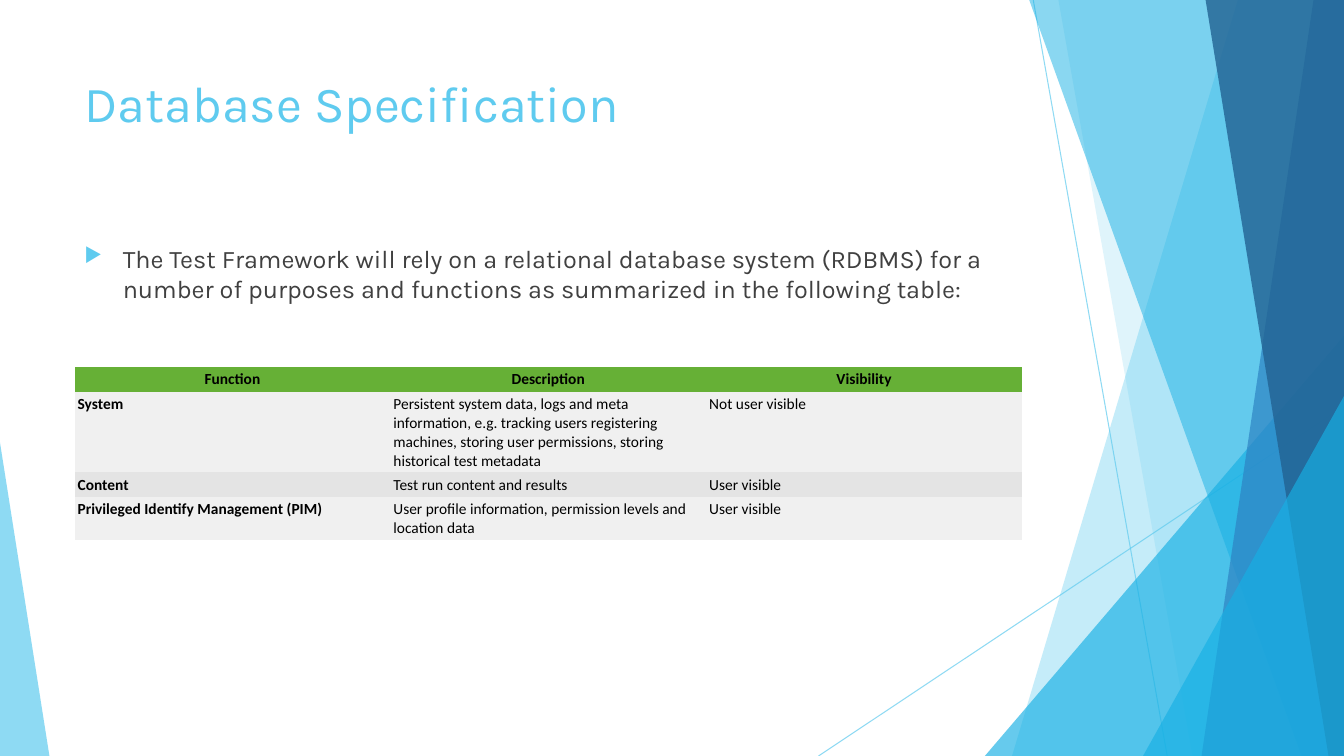
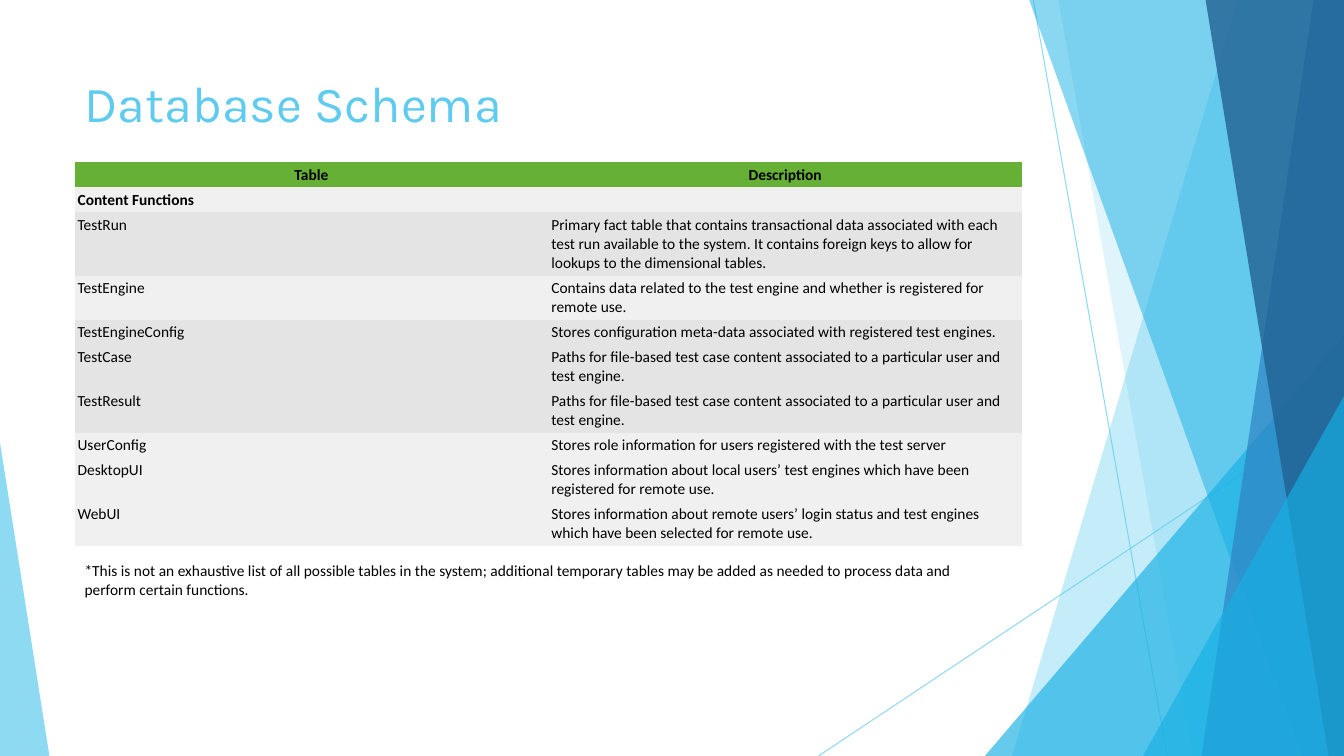
import dataclasses
import math

import lxml.etree
import pptx
import pptx.dml.color
import pptx.enum.shapes
import pptx.enum.text
import pptx.oxml.ns
import pptx.util

qn = pptx.oxml.ns.qn
Inches = pptx.util.Inches
Pt = pptx.util.Pt
MSO = pptx.enum.shapes.MSO_SHAPE
ALIGN = pptx.enum.text.PP_ALIGN


@dataclasses.dataclass(frozen=True)
class Theme:
    sky: str = "5FCBEF"
    cyan: str = "17B0E4"
    blue: str = "2E83C3"
    navy: str = "226292"
    green: str = "66B036"
    light: str = "F0F0F0"
    dark: str = "E4E4E4"
    grey: str = "404040"
    black: str = "000000"
    head: str = "Karla"
    text: str = "Calibri"
    big: int = 36
    mid: int = 18
    small: int = 11


T = Theme()
WIDE = Inches(13.33)
HIGH = Inches(7.5)
LEFT, SPAN = 5.55, 70.5
PAD = Inches(0.03)
PLAIN = "{2D5ABB26-0587-4C30-8999-92F81FD0307C}"

LINES = [(76.88, 0, 86.85, 100), (100, 53.73, 60.9, 100)]
PANES = [
    ("band", 92.1, 75.3, T.sky, 36),
    ("band", 78.75, 88.73, T.sky, 20),
    ("peak", 73.28, 44.4, T.cyan, 66),
    ("band", 76.58, 96.83, T.cyan, 50),
    ("band", 97.73, 89.4, T.blue, 70),
    ("band", 89.7, 98.85, T.navy, 80),
    ("peak", 85.05, 52.4, T.cyan, 66),
]

USES = [
    ("Function", "Description", "Visibility"),
    ("System", "Persistent system data, logs and meta information, e.g. tracking users "
     "registering machines, storing user permissions, storing historical test metadata",
     "Not user visible"),
    ("Content", "Test run content and results", "User visible"),
    ("Privileged Identify Management (PIM)",
     "User profile information, permission levels and location data", "User visible"),
]
PATHS = ("Paths for file-based test case content associated to a particular user "
         "and test engine.")
SCHEMA = [
    ("Table", "Description"),
    ("Content Functions", ""),
    ("TestRun", "Primary fact table that contains transactional data associated with each "
     "test run available to the system. It contains foreign keys to allow for lookups "
     "to the dimensional tables."),
    ("TestEngine", "Contains data related to the test engine and whether is registered "
     "for remote use."),
    ("TestEngineConfig", "Stores configuration meta-data associated with registered test "
     "engines."),
    ("TestCase", PATHS),
    ("TestResult", PATHS),
    ("UserConfig", "Stores role information for users registered with the test server"),
    ("DesktopUI", "Stores information about local users’ test engines which have been "
     "registered for remote use."),
    ("WebUI", "Stores information about remote users’ login status and test engines which "
     "have been selected for remote use."),
]


def across(part):
    return round(WIDE * part / 100)


def down(part):
    return round(HIGH * part / 100)


def rgb(code):
    return pptx.dml.color.RGBColor.from_string(code)


def place(shape, left, top, width, height):
    shape.left, shape.top = across(left), down(top)
    shape.width, shape.height = across(width), down(height)


def style(par, face, size, color, bold=False):
    for run in par.runs:
        run.font.name = face
        run.font.size = Pt(size)
        run.font.color.rgb = rgb(color)
        run.font.bold = bold


def fade(shape, alpha):
    tint = next(shape.element.iter(qn("a:srgbClr")))
    lxml.etree.SubElement(tint, qn("a:alpha"), val=str(alpha * 1000))


def paint(shape, color, alpha):
    shape.shadow.inherit = False
    shape.fill.solid()
    shape.fill.fore_color.rgb = rgb(color)
    shape.line.fill.background()
    fade(shape, alpha)


def stroke(group, ends):
    x1, y1, x2, y2 = ends
    line = group.shapes.add_connector(
        pptx.enum.shapes.MSO_CONNECTOR.STRAIGHT,
        across(x1), down(y1), across(x2), down(y2))
    line.line.color.rgb = rgb(T.sky)
    line.line.width = Pt(0.75)
    fade(line, 70)
    lxml.etree.SubElement(line.element.spPr, qn("a:effectLst"))


def band(group, top, base):
    form = group.shapes.build_freeform(across(top), 0)
    form.add_line_segments([(WIDE, 0), (WIDE, HIGH), (across(base), HIGH)])
    return form.convert_to_shape()


def peak(group, left, top, width, tip):
    shape = group.shapes.add_shape(
        MSO.ISOSCELES_TRIANGLE, across(left), down(top), across(width), down(100 - top))
    shape.adjustments[0] = tip
    return shape


def scene(slide, layout):
    group = slide.shapes.add_group_shape()
    for ends in LINES:
        stroke(group, ends)
    for kind, start, end, color, alpha in PANES:
        if kind == "band":
            pane = band(group, start, end)
        else:
            pane = peak(group, start, end, 100 - start, 1)
        paint(pane, color, alpha)
    paint(peak(group, 0, 58.53, 3.68, 0), T.sky, 70)
    tree = layout.shapes.element
    tree.insert(2, group.element)
    for num, item in enumerate(tree.iter(qn("p:cNvPr")), 1):
        item.set("id", str(num))


def title(slide, text):
    shape = slide.shapes.title
    place(shape, LEFT, 8.93, SPAN, 19.2)
    frame = shape.text_frame
    frame.text = text
    frame.auto_size = pptx.enum.text.MSO_AUTO_SIZE.NONE
    frame.vertical_anchor = pptx.enum.text.MSO_ANCHOR.TOP
    par = frame.paragraphs[0]
    par.alignment = ALIGN.LEFT
    style(par, T.head, T.big, T.sky)


def note(slide, top, width, height, text):
    box = slide.shapes.add_textbox(0, 0, 0, 0)
    place(box, LEFT, top, width, height)
    box.text_frame.word_wrap = True
    box.text_frame.text = text
    return box.text_frame.paragraphs[0]


def bullet(par):
    par.space_before = Pt(10)
    props = par._p.get_or_add_pPr()
    hang = Inches(0.38)
    props.set("marL", str(hang))
    props.set("indent", str(-hang))
    tint = lxml.etree.SubElement(props, qn("a:buClr"))
    lxml.etree.SubElement(tint, qn("a:srgbClr"), val=T.sky)
    lxml.etree.SubElement(props, qn("a:buSzPct"), val="80000")
    lxml.etree.SubElement(props, qn("a:buChar"), char="▶")


def fill(cell, text, color, bold, align):
    cell.fill.solid()
    cell.fill.fore_color.rgb = rgb(color)
    cell.margin_left = cell.margin_right = PAD
    cell.margin_top = cell.margin_bottom = PAD
    cell.text_frame.text = text
    par = cell.text_frame.paragraphs[0]
    par.alignment = align
    style(par, T.text, T.small, T.black, bold)
    if not text:
        lxml.etree.SubElement(par._p, qn("a:endParaRPr"), sz=str(T.small * 100))


def grid(slide, top, rows, tones, keys=False):
    cols = len(rows[0])
    chars = 15.4 * across(SPAN) / cols / Inches(1)
    tall = [Inches(0.06 + 0.185 * max(math.ceil(len(text) / chars) for text in row))
            for row in rows]
    frame = slide.shapes.add_table(
        len(rows), cols, across(LEFT), down(top), across(SPAN), sum(tall))
    table = frame.table
    table._tbl.tblPr.find(qn("a:tableStyleId")).text = PLAIN
    for r, (row, tone) in enumerate(zip(rows, [T.green] + tones)):
        table.rows[r].height = tall[r]
        for c, text in enumerate(row):
            bold = r == 0 or (c == 0 and (keys or not row[1]))
            align = ALIGN.CENTER if r == 0 else ALIGN.LEFT
            fill(table.cell(r, c), text, tone, bold, align)


def main():
    deck = pptx.Presentation()
    deck.slide_width, deck.slide_height = WIDE, HIGH
    layout = deck.slide_layouts.get_by_name("Title Only")

    slide = deck.slides.add_slide(layout)
    scene(slide, layout)
    title(slide, "Database Specification")
    par = note(slide, 31.47, SPAN, 56.53,
               "The Test Framework will rely on a relational database system (RDBMS) for a "
               "number of purposes and functions as summarized in the following table:")
    style(par, T.head, T.mid, T.grey)
    bullet(par)
    grid(slide, 48.53, USES, [T.light, T.dark, T.light], keys=True)

    slide = deck.slides.add_slide(layout)
    title(slide, "Database Schema")
    tones = [T.light, T.dark, T.light] + [T.dark] * 3 + [T.light] * 3
    grid(slide, 21.47, SCHEMA, tones)
    par = note(slide, 73.6, 67.65, 6.27,
               "*This is not an exhaustive list of all possible tables in the system; "
               "additional temporary tables may be added as needed to process data and "
               "perform certain functions.")
    style(par, T.text, T.small, T.black)

    deck.save("out.pptx")


if __name__ == "__main__":
    main()
